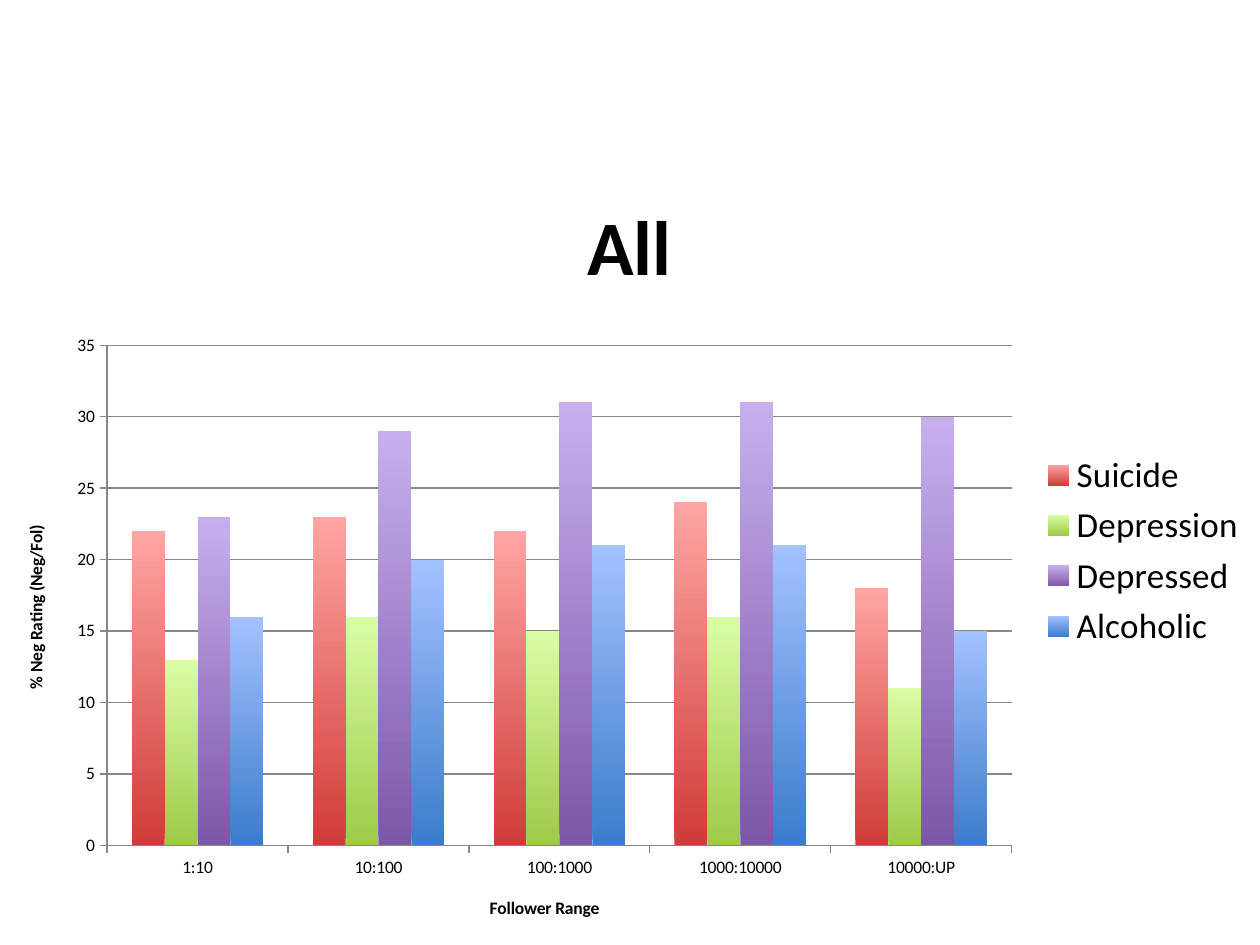
from dataclasses import dataclass

from lxml import etree
from pptx import Presentation
from pptx.chart.data import CategoryChartData
from pptx.dml.color import RGBColor
from pptx.enum.chart import XL_CHART_TYPE, XL_LEGEND_POSITION, XL_TICK_MARK
from pptx.oxml.ns import qn
from pptx.util import Inches, Pt

COLUMNS = XL_CHART_TYPE.COLUMN_CLUSTERED
RIGHT = XL_LEGEND_POSITION.RIGHT
OUTSIDE, NO_TICK = XL_TICK_MARK.OUTSIDE, XL_TICK_MARK.NONE


@dataclass(frozen=True)
class Theme:
    font: str = "Calibri"
    text: str = "000000"
    line: str = "878787"
    title: int = 44
    legend: int = 20
    label: int = 10


THEME = Theme()
CATEGORIES = ["1:10", "10:100", "100:1000", "1000:10000", "10000:UP"]
# name, values, bottom colour, top colour
SERIES = [
    ("Alcoholic", [16, 20, 21, 21, 15], "3B7DCB", "A4C1FF"),
    ("Suicide", [22, 23, 22, 24, 18], "CF3C39", "FFA5A3"),
    ("Depression", [13, 16, 15, 16, 11], "9FCA49", "DAFDA4"),
    ("Depressed", [23, 29, 31, 31, 30], "7D57A7", "C7AFEE"),
]


def format_font(font, size, bold=False):
    values = {"name": THEME.font, "size": Pt(size), "bold": bold}
    for key, value in values.items():
        setattr(font, key, value)
    font.color.rgb = RGBColor.from_string(THEME.text)


def format_line(line):
    line.color.rgb = RGBColor.from_string(THEME.line)
    line.width = Pt(0.75)


def set_layout(parent, index, box, target=None, **lengths):
    """Place a chart part at lengths measured inside the chart's box."""
    for old in parent.findall(qn("c:layout")):
        parent.remove(old)
    layout = etree.Element(qn("c:layout"))
    parent.insert(index, layout)
    manual = etree.SubElement(layout, qn("c:manualLayout"))
    settings = {"layoutTarget": target} if target else {}
    settings.update(xMode="edge", yMode="edge")
    for key, length in lengths.items():
        settings[key] = length / box[0 if key in "xw" else 1]
    for tag, value in settings.items():
        etree.SubElement(manual, qn("c:" + tag)).set("val", str(value))


def add_title(owner, text, size, box, x, y):
    """Title a chart or an axis."""
    owner.has_title = True
    title = owner.chart_title if hasattr(owner, "chart_title") else owner.axis_title
    r = title.text_frame.paragraphs[0].add_run()
    r.text = text
    format_font(r.font, size, bold=True)
    set_layout(title._element, 1, box, x=Inches(x), y=Inches(y))


def add_rating_chart(s, x, y, w, h):
    box = (w, h)
    data = CategoryChartData(number_format="0")
    data.categories = CATEGORIES
    for name, values, _, _ in SERIES:
        data.add_series(name, values)
    chart = s.shapes.add_chart(COLUMNS, x, y, w, h, data).chart
    format_font(chart.font, THEME.label)
    add_title(chart, "All", THEME.title, box, 4.55, 0.18)

    # Columns
    plot = chart.plots[0]
    plot.gap_width, plot.overlap, plot.vary_by_categories = 150, 0, False
    for series, (_, _, bottom, top) in zip(plot.series, SERIES):
        fill = series.format.fill
        fill.gradient()
        fill.gradient_angle = 90
        for stop, color in zip(fill.gradient_stops, (bottom, top)):
            stop.color.rgb = RGBColor.from_string(color)
    plot_area = chart._chartSpace.find(".//" + qn("c:plotArea"))
    set_layout(plot_area, 0, box, "inner", x=Inches(0.85), y=Inches(1.5),
               w=Inches(7.18), h=Inches(3.97))

    # The first series is drawn last
    elements = [series._element for series in plot.series]
    elements[-1].addnext(elements[0])

    # Axes
    axes = [
        (chart.category_axis, "Follower Range", 3.86, 5.85),
        (chart.value_axis, "% Neg Rating (Neg/Fol)", 0.17, 2.9),
    ]
    for axis, text, left, top in axes:
        axis.major_tick_mark, axis.minor_tick_mark = OUTSIDE, NO_TICK
        format_line(axis.format.line)
        format_font(axis.tick_labels.font, THEME.label)
        add_title(axis, text, THEME.label, box, left, top)
    value_axis = chart.value_axis
    scale = {"minimum_scale": 0, "maximum_scale": 35, "major_unit": 5}
    for key, value in scale.items():
        setattr(value_axis, key, value)
    value_axis.tick_labels.number_format = "0"
    value_axis.tick_labels.number_format_is_linked = False
    format_line(value_axis.major_gridlines.format.line)

    # Legend
    chart.has_legend = True
    chart.legend.position = RIGHT
    chart.legend.include_in_layout = False
    format_font(chart.legend.font, THEME.legend)


prs = Presentation()
prs.slide_width, prs.slide_height = Inches(10), Inches(7.5)
s = prs.slides.add_slide(prs.slide_layouts[6])
add_rating_chart(s, Inches(0), Inches(1.24), Inches(10), Inches(6.26))
prs.save("out.pptx")
